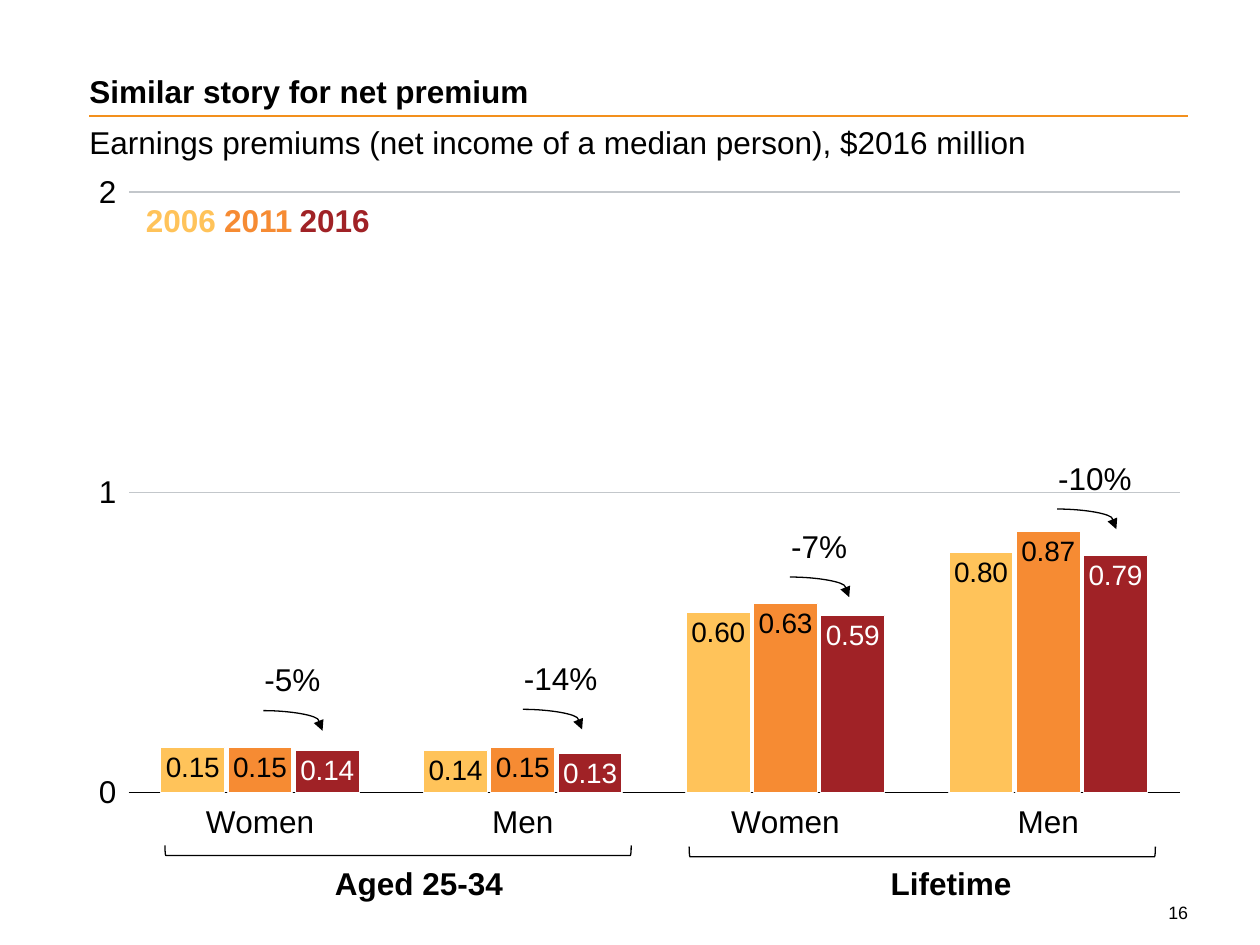
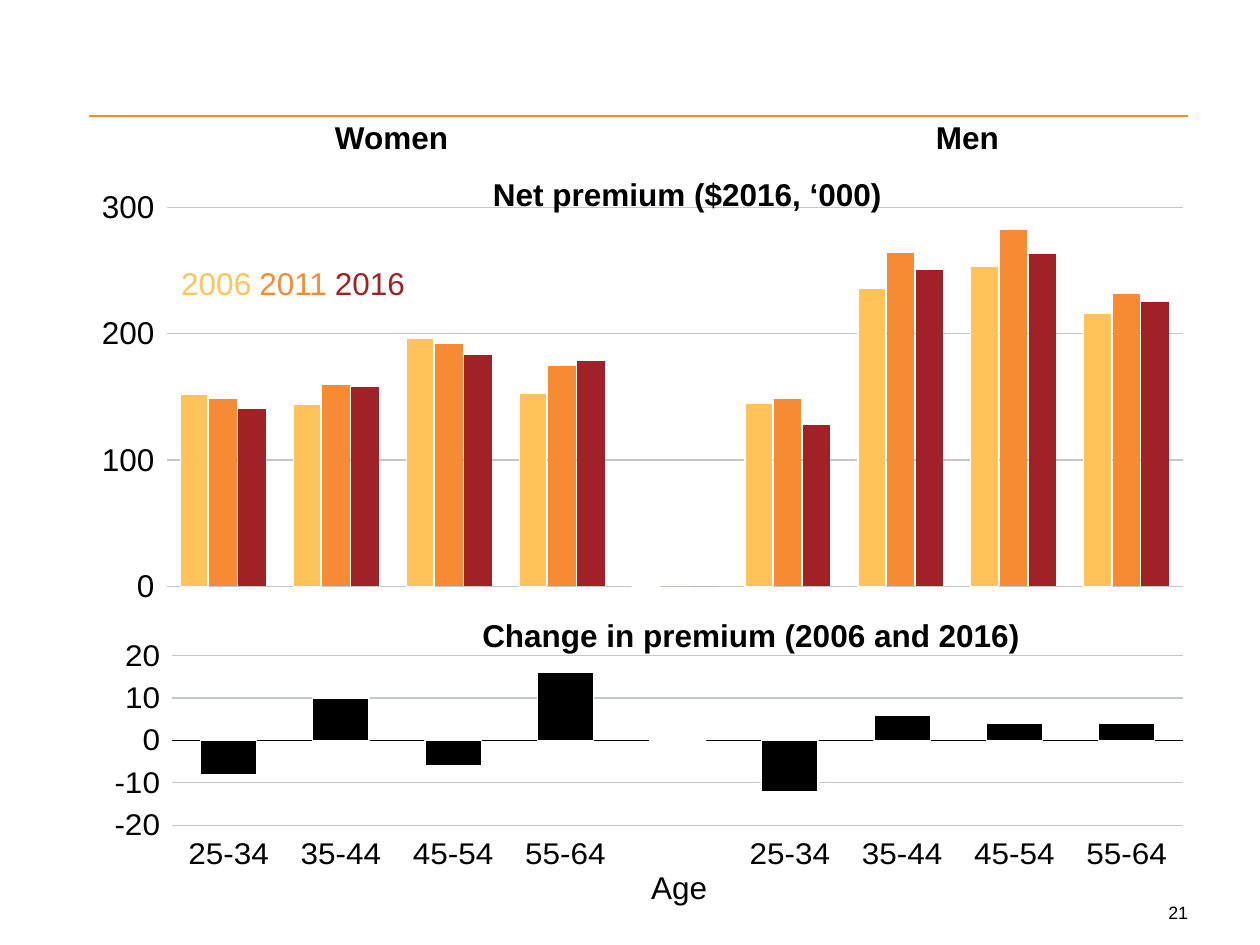
from lxml import etree
from pptx import Presentation
from pptx.chart.data import CategoryChartData
from pptx.dml.color import RGBColor
from pptx.enum import chart as charts, shapes, text
from pptx.oxml import ns
from pptx.util import Inches, Pt

FONT = "Arial"
BLACK, WHITE, GRID, RULE = "000000", "FFFFFF", "C3C7CB", "F3901D"
YEAR_COLOURS = {"2006": "FFC35A", "2011": "F68B33", "2016": "A02226"}
LEFT, RIGHT = 0.71, 9.43


def colour(value):
    return RGBColor.from_string(value)


def style_font(font, size=18, value=BLACK, bold=False):
    font.name, font.size, font.bold = FONT, Pt(size), bold
    font.color.rgb = colour(value)


def style_line(line, value=BLACK, width=0.75):
    line.color.rgb = colour(value)
    line.width = Pt(width)


def fill_frame(frame, words, size=18, value=BLACK, bold=False, align="LEFT",
               inset=(0.1, 0.05), wrap=False):
    frame.word_wrap = wrap
    frame.auto_size = text.MSO_AUTO_SIZE.NONE
    frame.margin_left = frame.margin_right = Inches(inset[0])
    frame.margin_top = frame.margin_bottom = Inches(inset[1])
    paragraph = frame.paragraphs[0]
    paragraph.alignment = getattr(text.PP_ALIGN, align)
    run = paragraph.add_run()
    run.text = words
    style_font(run.font, size, value, bold)


def add_label(slide, box, words, **style):
    shape = slide.shapes.add_textbox(*map(Inches, box))
    fill_frame(shape.text_frame, words, **style)


def add_line(slide, kind, start, end, value=BLACK, width=0.75):
    connector = slide.shapes.add_connector(kind, *map(Inches, start + end))
    style_line(connector.line, value, width)
    etree.SubElement(connector._element.spPr, ns.qn("a:effectLst"))
    return connector


# Shared frame: orange rule and page number
def add_frame(slide, number):
    add_line(slide, shapes.MSO_CONNECTOR.STRAIGHT, (LEFT, 0.92), (RIGHT, 0.92), RULE, 1.5)
    add_label(slide, (9.26, 7.16, 0.17, 0.17), number, size=10.2, align="RIGHT", inset=(0, 0))


def add_year_key(slide, left, top, bold=False):
    for offset, (year, value) in zip((0, 0.62, 1.22), YEAR_COLOURS.items()):
        add_label(slide, (left + offset, top, 0.76, 0.4), year, value=value, bold=bold)


# Column charts
def set_plot_area(chart, fractions):
    plot_area = chart._chartSpace.chart.plotArea
    for old in plot_area.findall(ns.qn("c:layout")):
        plot_area.remove(old)
    layout = etree.Element(ns.qn("c:layout"))
    manual = etree.SubElement(layout, ns.qn("c:manualLayout"))
    settings = [("layoutTarget", "inner"), ("xMode", "edge"), ("yMode", "edge")]
    settings += zip("xywh", fractions)
    for tag, value in settings:
        etree.SubElement(manual, ns.qn(f"c:{tag}")).set("val", str(value))
    plot_area.insert(0, layout)


def add_columns(slide, box, categories, rows, colours, scale, plot_area, outlined):
    data = CategoryChartData()
    data.categories = categories
    for index, row in enumerate(rows, 1):
        data.add_series(f"Series {index}", row)
    chart = slide.shapes.add_chart(
        charts.XL_CHART_TYPE.COLUMN_CLUSTERED, *map(Inches, box), data).chart
    chart.has_legend = chart.has_title = False
    style_font(chart.font)
    set_plot_area(chart, plot_area)
    # A missing value is drawn as a zero-height column
    chart._chartSpace.chart.find(ns.qn("c:dispBlanksAs")).set("val", "zero")

    plot = chart.plots[0]
    plot.gap_width, plot.overlap, plot.vary_by_categories = 100, -5, False
    for index, (series, value) in enumerate(zip(plot.series, colours)):
        series.invert_if_negative = False
        series.format.fill.solid()
        series.format.fill.fore_color.rgb = colour(value)
        if index < outlined:
            style_line(series.format.line, WHITE)
        else:
            series.format.line.fill.background()

    axis = chart.value_axis
    axis.minimum_scale, axis.maximum_scale, axis.major_unit = scale
    axis.has_major_gridlines = True
    style_line(axis.major_gridlines.format.line, GRID)
    axis.format.line.fill.background()
    axis.tick_labels.number_format = "0"
    axis.tick_labels.number_format_is_linked = False
    style_font(axis.tick_labels.font)

    axis = chart.category_axis
    axis.major_tick_mark = charts.XL_TICK_MARK.NONE
    axis.tick_label_position = charts.XL_TICK_LABEL_POSITION.LOW
    style_line(axis.format.line)
    style_font(axis.tick_labels.font)
    return chart


def add_value_labels(chart, label_colours):
    for series, value in zip(chart.plots[0].series, label_colours):
        labels = series.data_labels
        labels.show_value = True
        labels.position = charts.XL_LABEL_POSITION.INSIDE_END
        labels.number_format = "0.00"
        labels.number_format_is_linked = False
        style_font(labels.font, 16, value)


# Percentage with a curved arrow from the 2011 to the 2016 column
def add_change(slide, left, top, words):
    arrow = add_line(slide, shapes.MSO_CONNECTOR.CURVE, (left, top), (left + 0.47, top + 0.16))
    properties = arrow._element.spPr
    guide = etree.SubElement(properties.find(".//" + ns.qn("a:avLst")), ns.qn("a:gd"))
    guide.set("name", "adj1")
    guide.set("fmla", "val 93700")
    head = etree.SubElement(properties.find(ns.qn("a:ln")), ns.qn("a:tailEnd"))
    head.set("type", "triangle")
    add_label(slide, (left - 0.09, top - 0.45, 0.79, 0.4), words)


# Bracket under two categories, with its name below
def add_bracket(slide, centre, middle, words, label_left):
    width, length = 0.08, 3.7
    bracket = slide.shapes.add_shape(
        shapes.MSO_SHAPE.LEFT_BRACKET, Inches(centre - width / 2),
        Inches(middle - length / 2), Inches(width), Inches(length))
    bracket.rotation = 270
    bracket.shadow.inherit = False
    bracket.fill.background()
    style_line(bracket.line)
    add_label(slide, (label_left, 6.81, 1.55, 0.4), words, bold=True)


def build_net_premium(presentation):
    slide = presentation.slides.add_slide(presentation.slide_layouts[5])
    add_frame(slide, "16")
    title = slide.shapes.title
    title.left, title.top, title.width, title.height = map(Inches, (LEFT, 0.57, 6.98, 0.3))
    fill_frame(title.text_frame, "Similar story for net premium", bold=True,
               inset=(0, 0), wrap=True)
    title.text_frame.vertical_anchor = text.MSO_ANCHOR.BOTTOM
    add_label(slide, (LEFT, 0.98, 8.73, 0.31),
              "Earnings premiums (net income of a median person), $2016 million",
              inset=(0, 0), wrap=True)

    rows = [(0.15, 0.14, 0.6, 0.8), (0.15, 0.15, 0.63, 0.87), (0.14, 0.13, 0.59, 0.79)]
    chart = add_columns(slide, (0.61, 1.28, 8.94, 5.44), ["Women", "Men"] * 2, rows,
                        YEAR_COLOURS.values(), (0, 2, 1), (0.046, 0.045, 0.933, 0.876), 3)
    add_value_labels(chart, (BLACK, BLACK, WHITE))
    # Category names sit close under the axis
    chart._chartSpace.find(".//" + ns.qn("c:lblOffset")).set("val", "0")

    add_bracket(slide, 3.16, 6.75, "Aged 25-34", 2.56)
    add_bracket(slide, 7.32, 6.76, "Lifetime", 6.97)
    for left, top, words in ((2.09, 5.64, "-5%"), (4.15, 5.63, "-14%"),
                             (6.27, 4.58, "-7%"), (8.39, 4.04, "-10%")):
        add_change(slide, left, top, words)
    add_year_key(slide, 1.06, 1.55, bold=True)


def build_premium_by_age(presentation):
    slide = presentation.slides.add_slide(presentation.slide_layouts[6])
    add_frame(slide, "21")
    # Net premium, women on the left and men on the right
    rows = [(152, 144, 196, 153, None, 145, 236, 253, 216),
            (148, 159, 192, 174, None, 148, 264, 282, 231),
            (140, 158, 183, 178, None, 128, 250, 263, 225)]
    premium = add_columns(slide, (0.6, 1.28, 8.94, 3.97), [str(n) for n in range(1, 10)],
                          rows, YEAR_COLOURS.values(), (0, 300, 100),
                          (0.081, 0.092, 0.902, 0.758), 1)
    premium.category_axis.visible = False
    add_label(slide, (2.56, 0.89, 1.11, 0.4), "Women", bold=True)
    add_label(slide, (7.33, 0.89, 0.71, 0.4), "Men", bold=True)
    add_label(slide, (5.07, 6.84, 0.65, 0.4), "Age")
    add_year_key(slide, 1.34, 2.05)

    # Change in premium
    ages = ["25-34", "35-44", "45-54", "55-64"]
    changes = (-8, 10, -6, 16, None, -12, 6, 4, 4)
    add_columns(slide, (0.59, 5.04, 8.95, 1.87), ages + [""] + ages, [changes], [BLACK],
                (-20, 20, 10), (0.087, 0.092, 0.896, 0.758), 1)
    for box, words in (((3.6, 1.34, 3.71, 0.4), "Net premium ($2016, ‘000)"),
                       ((3.62, 4.84, 4.68, 0.4), "Change in premium (2006 and 2016)")):
        add_label(slide, box, words, bold=True, align="CENTER", wrap=True)


def main():
    presentation = Presentation()
    presentation.slide_width, presentation.slide_height = Inches(10), Inches(7.5)
    build_net_premium(presentation)
    build_premium_by_age(presentation)
    presentation.save("out.pptx")


if __name__ == "__main__":
    main()
